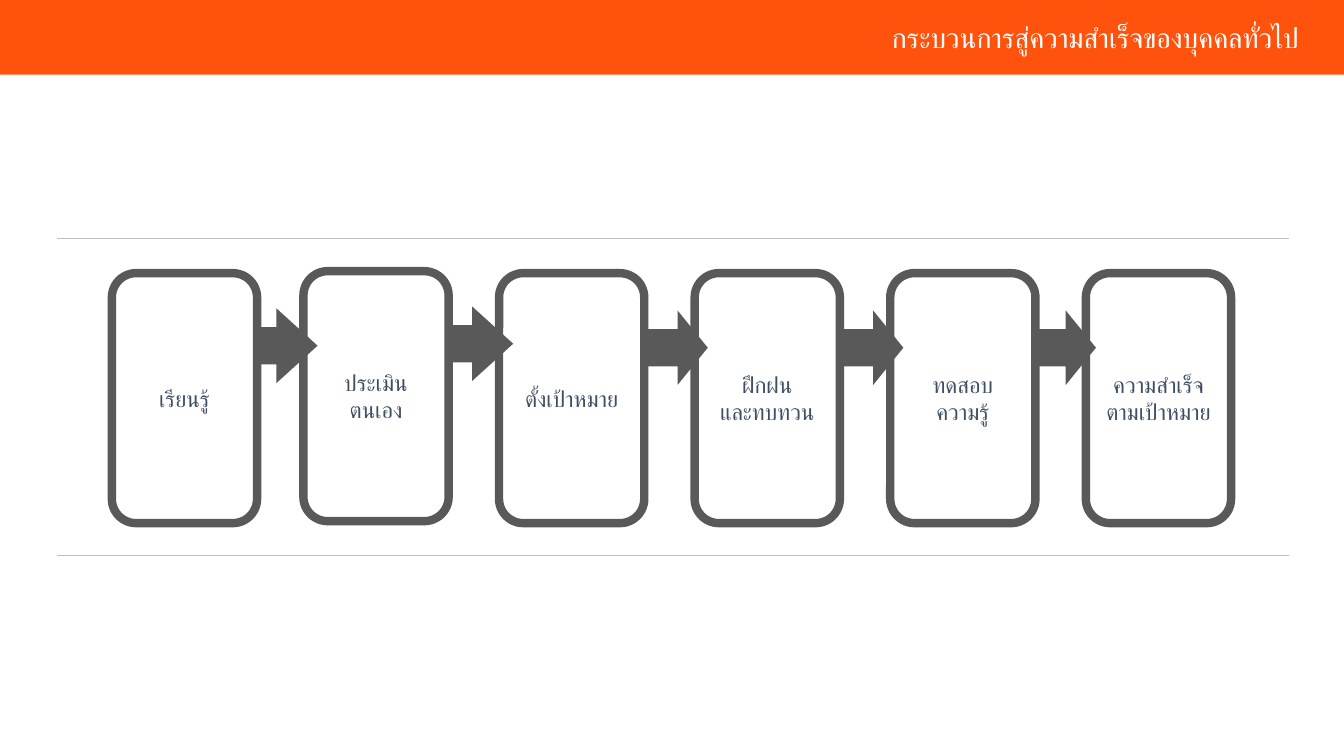
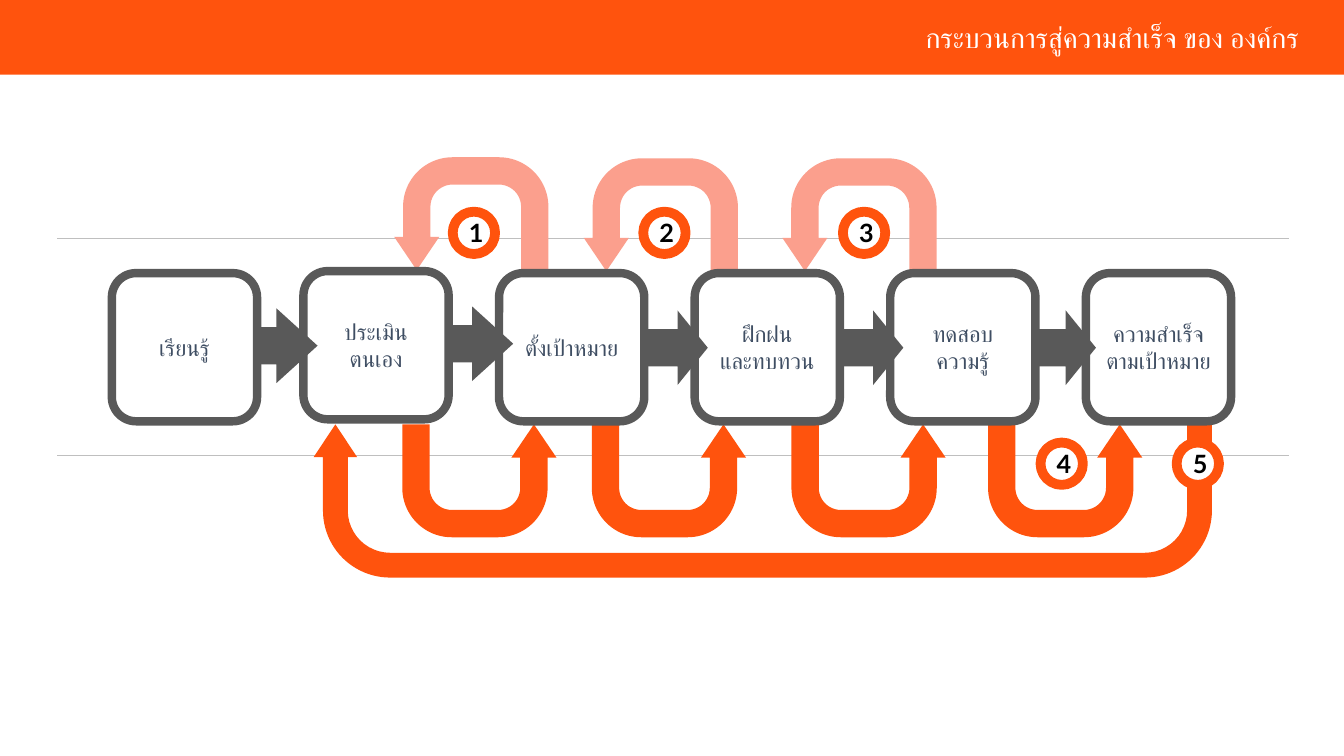
from dataclasses import dataclass
from typing import Optional

from lxml.etree import SubElement
from pptx import Presentation
from pptx.dml.color import RGBColor
from pptx.enum.shapes import MSO_CONNECTOR, MSO_SHAPE
from pptx.enum.text import MSO_ANCHOR, MSO_AUTO_SIZE, PP_ALIGN
from pptx.oxml.ns import qn
from pptx.shapes.autoshape import Shape
from pptx.slide import Slide
from pptx.util import Inches, Pt

COLORS = {
    "orange": "FF530D",
    "salmon": "FB9F8D",
    "grey": "595959",
    "rule": "BFBFBF",
    "navy": "3F4E63",
    "white": "FFFFFF",
    "black": "000000",
}
FONT = "Lato"
TITLE_FORMAT = {"name": FONT, "size": Pt(20), "bold": False}
STEP_FORMAT = {"name": FONT, "size": Pt(16), "bold": False}
NUMBER_FORMAT = {"name": FONT, "size": Pt(18), "bold": True}

SLIDE_W, SLIDE_H = 13.33, 7.5
STEP_W, STEP_PITCH = 1.44, 1.94
LOOP_W, LOOP_H = 1.53, 1.12
BACK_ADJ = (0.162, 0.142, 0.214, 0.438, 1)
LOOP_ADJ = (0.242, 0.2, 0.295, 0.438, 1)


@dataclass
class Step:
    label: str
    left: float
    top: float = 2.71


@dataclass
class Arrow:
    left: float
    top: float = 3.08
    head: float = 0.5


@dataclass
class Loop:
    left: float
    top: float
    color: str = "orange"
    width: float = LOOP_W
    height: float = LOOP_H
    adjust: tuple[float, ...] = LOOP_ADJ
    flip: bool = True
    rotation: int = 0


@dataclass
class Badge:
    number: str
    left: float
    top: float


@dataclass
class Process:
    title: str
    step_height: float
    lower_rule: float
    loops: tuple[Loop, ...] = ()
    badges: tuple[Badge, ...] = ()


STEP_LEFTS = [1.11] + [3.01 + STEP_PITCH * i for i in range(5)]
STEPS = [
    Step("เรียนรู้", STEP_LEFTS[0]),
    Step("ประเมินตนเอง", STEP_LEFTS[1], 2.69),
    Step("ตั้งเป้าหมาย", STEP_LEFTS[2]),
    Step("ฝึกฝน\nและทบทวน", STEP_LEFTS[3]),
    Step("ทดสอบ\nความรู้", STEP_LEFTS[4]),
    Step("ความสำเร็จตามเป้าหมาย", STEP_LEFTS[5]),
]
ARROWS = [
    Arrow(2.55, 3.06, 0.679),
    Arrow(4.49, 3.04, 0.679),
    Arrow(6.42),
    Arrow(8.36),
    Arrow(10.27),
]

RETURN_LOOP = Loop(3.11, 4.21, width=8.91, height=1.52,
                   adjust=BACK_ADJ, flip=False, rotation=180)
FORWARD_LOOPS = tuple(Loop(left, 4.21, rotation=180)
                      for left in (3.99, 5.87, 7.85, 9.8))
REVIEW_LOOPS = tuple(Loop(left, top, "salmon")
                     for left, top in ((3.91, 1.56), (5.79, 1.57), (7.76, 1.57)))

PROCESSES = [
    Process("กระบวนการสู่ความสำเร็จของบุคคลทั่วไป", 2.48, 5.51),
    Process(
        "กระบวนการสู่ความสำเร็จ ของ องค์กร", 1.47, 4.52,
        loops=(RETURN_LOOP, *FORWARD_LOOPS, *REVIEW_LOOPS),
        badges=(
            Badge("1", 4.49, 2.1),
            Badge("2", 6.38, 2.1),
            Badge("3", 8.36, 2.1),
            Badge("4", 10.32, 4.39),
            Badge("5", 11.67, 4.39),
        ),
    ),
]


def rgb(color: str) -> RGBColor:
    return RGBColor.from_string(COLORS[color])


def add_block(slide: Slide, kind: MSO_SHAPE, left: float, top: float,
              width: float, height: float, fill: str,
              line: Optional[str] = None, weight: float = 0) -> Shape:
    block = slide.shapes.add_shape(
        kind, Inches(left), Inches(top), Inches(width), Inches(height))
    block.shadow.inherit = False
    block.fill.solid()
    block.fill.fore_color.rgb = rgb(fill)
    if line:
        block.line.color.rgb = rgb(line)
        block.line.width = Pt(weight)
    else:
        block.line.fill.background()
    return block


def write(shape: Shape, text: str, style: dict, color: str,
          align: PP_ALIGN, anchor: MSO_ANCHOR) -> None:
    frame = shape.text_frame
    frame.word_wrap = True
    frame.vertical_anchor = anchor
    frame.text = text
    for paragraph in frame.paragraphs:
        paragraph.alignment = align
        for run in paragraph.runs:
            for attribute, value in style.items():
                setattr(run.font, attribute, value)
            run.font.color.rgb = rgb(color)


def add_rule(slide: Slide, top: float) -> None:
    rule = slide.shapes.add_connector(
        MSO_CONNECTOR.STRAIGHT, Inches(0.57), Inches(top), Inches(12.78), Inches(top))
    rule.line.color.rgb = rgb("rule")
    rule.line.width = Pt(0.5)
    SubElement(rule._element.spPr, qn("a:effectLst"))


def add_title(slide: Slide, title: str) -> None:
    add_block(slide, MSO_SHAPE.RECTANGLE, 0, 0, SLIDE_W, 0.74, "orange")
    heading = slide.shapes.add_textbox(
        Inches(6.53), Inches(0.15), Inches(6.45), Inches(0.44))
    write(heading, title, TITLE_FORMAT, "white", PP_ALIGN.RIGHT, MSO_ANCHOR.TOP)
    heading.text_frame.auto_size = MSO_AUTO_SIZE.SHAPE_TO_FIT_TEXT


def add_loop(slide: Slide, loop: Loop) -> None:
    uturn = add_block(slide, MSO_SHAPE.U_TURN_ARROW, loop.left, loop.top,
                      loop.width, loop.height, loop.color)
    for index, value in enumerate(loop.adjust):
        uturn.adjustments[index] = value
    uturn.rotation = loop.rotation
    if loop.flip:
        uturn._element.spPr.find(qn("a:xfrm")).set("flipH", "1")


def add_badge(slide: Slide, badge: Badge) -> None:
    ring = add_block(slide, MSO_SHAPE.OVAL, badge.left, badge.top, 0.42, 0.42,
                     "white", "orange", 7)
    write(ring, badge.number, NUMBER_FORMAT, "black", PP_ALIGN.CENTER, MSO_ANCHOR.MIDDLE)


def add_step(slide: Slide, step: Step, height: float) -> None:
    card = add_block(slide, MSO_SHAPE.ROUNDED_RECTANGLE, step.left, step.top,
                     STEP_W, height, "white", "grey", 6)
    write(card, step.label, STEP_FORMAT, "navy", PP_ALIGN.CENTER, MSO_ANCHOR.MIDDLE)


def add_arrow(slide: Slide, arrow: Arrow) -> None:
    pointer = add_block(slide, MSO_SHAPE.RIGHT_ARROW, arrow.left, arrow.top,
                        0.6, 0.74, "grey")
    pointer.adjustments[1] = arrow.head


def build_slide(slide: Slide, process: Process) -> None:
    # Rules behind the process
    for top in (2.36, process.lower_rule):
        add_rule(slide, top)
    # Feedback loops and their numbers
    for loop in process.loops:
        add_loop(slide, loop)
    for badge in process.badges:
        add_badge(slide, badge)
    # Title band
    add_title(slide, process.title)
    # Steps, with arrows on top
    for step in STEPS:
        add_step(slide, step, process.step_height)
    for arrow in ARROWS:
        add_arrow(slide, arrow)


def main() -> None:
    deck = Presentation()
    deck.slide_width, deck.slide_height = Inches(SLIDE_W), Inches(SLIDE_H)
    blank = deck.slide_layouts[6]
    for process in PROCESSES:
        build_slide(deck.slides.add_slide(blank), process)
    deck.save("out.pptx")


if __name__ == "__main__":
    main()
